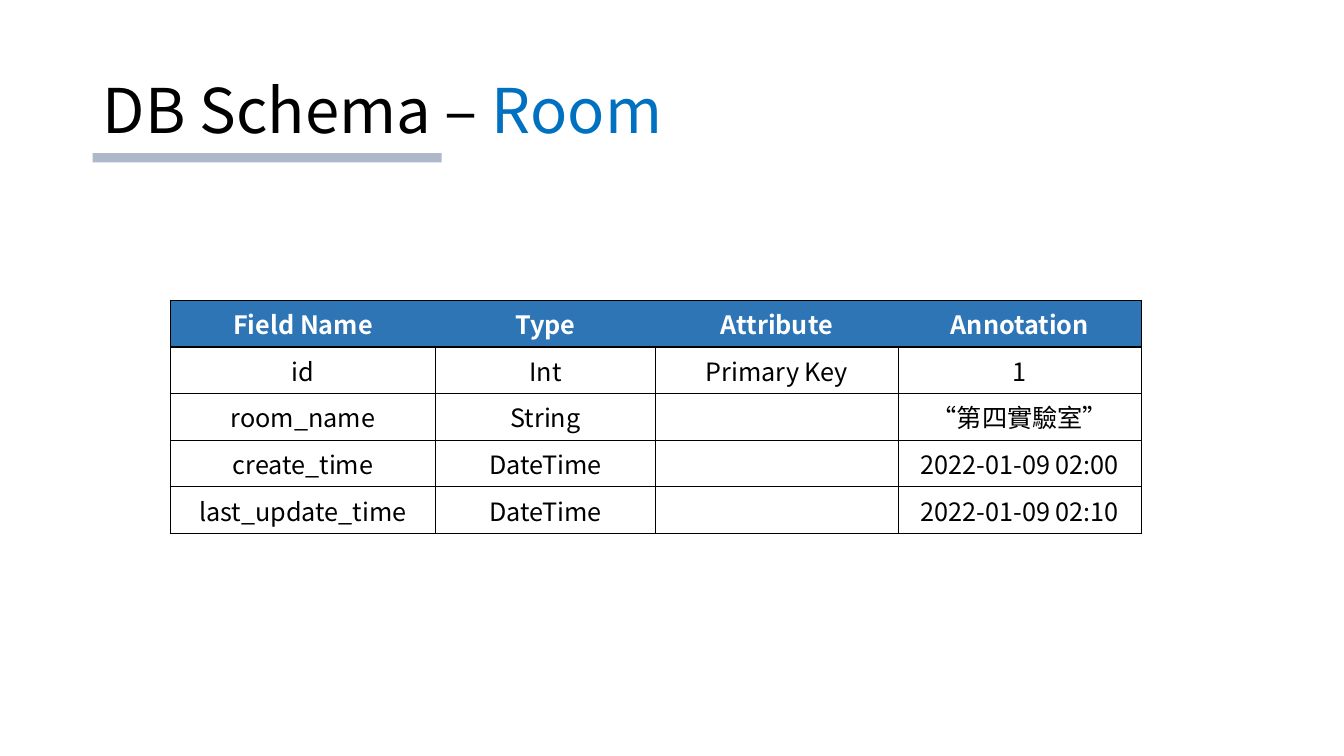
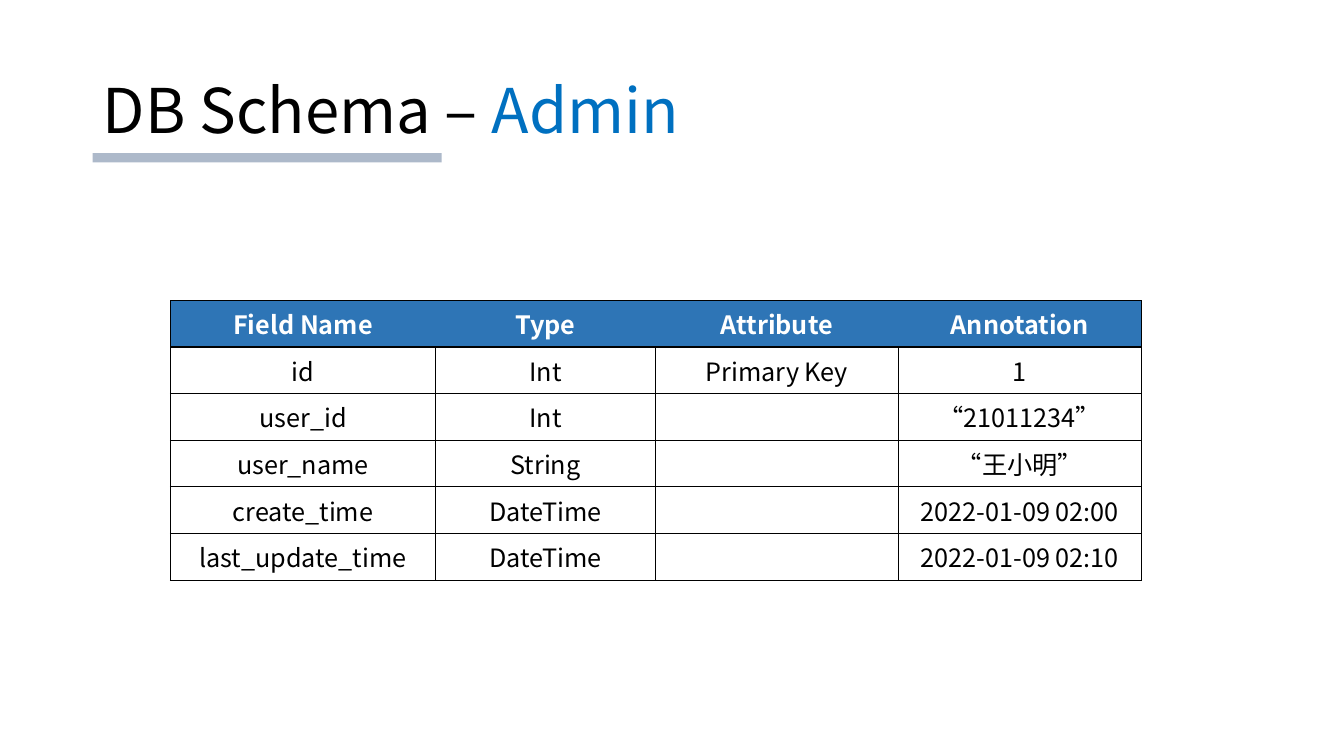
from lxml.etree import SubElement
from pptx import Presentation
from pptx.dml.color import RGBColor
from pptx.enum.shapes import MSO_SHAPE
from pptx.enum.text import MSO_ANCHOR, MSO_AUTO_SIZE, PP_ALIGN
from pptx.oxml.ns import qn
from pptx.util import Inches, Pt

FONT = "Noto Sans CJK SC"
COLORS = {
    "text": "000000",
    "accent": "0070C0",
    "header": "2E75B6",
    "header_text": "FFFFFF",
    "underline": "ADB9CA",
    "border": "000000",
}
HEADERS = ("Field Name", "Type", "Attribute", "Annotation")
COLUMN_WIDTHS = (2.63, 2.18, 2.41, 2.41)
ROW_HEIGHT = 0.41
TYPE_COLUMN = 1
HEAVY_ROWS = 2  # body rows whose type cell has a heavy outline
THIN, HEAVY = 0.5, 1

ID_ROW = ("id", "Int", "Primary Key", "1")
TIME_ROWS = (
    ("create_time", "DateTime", "", "2022-01-09 02:00"),
    ("last_update_time", "DateTime", "", "2022-01-09 02:10"),
)
SCHEMAS = {
    "Room": (ID_ROW, ("room_name", "String", "", "“第四實驗室”"), *TIME_ROWS),
    "Admin": (
        ID_ROW,
        ("user_id", "Int", "", "“21011234”"),
        ("user_name", "String", "", "“王小明”"),
        *TIME_ROWS,
    ),
}


def color(name):
    """Return the named colour."""
    return RGBColor.from_string(COLORS[name])


def add_run(paragraph, text, size, color_name, bold=False):
    """Add one formatted run, with the font set for Latin and Chinese text."""
    run = paragraph.add_run()
    run.text = text
    run.font.name = FONT
    run.font.size = Pt(size)
    run.font.bold = bold
    run.font.color.rgb = color(color_name)
    SubElement(run.font._element, qn("a:ea"), typeface=FONT)


def add_title(slide, name):
    """Format the title placeholder and add the bar under it."""
    title = slide.shapes.title
    title.left, title.top = Inches(0.92), Inches(0.4)
    title.width, title.height = Inches(11.5), Inches(1.45)
    frame = title.text_frame
    frame.word_wrap = True
    frame.auto_size = MSO_AUTO_SIZE.NONE
    frame.vertical_anchor = MSO_ANCHOR.MIDDLE
    paragraph = frame.paragraphs[0]
    paragraph.alignment = PP_ALIGN.LEFT
    paragraph.line_spacing = 0.9
    add_run(paragraph, "DB Schema – ", 44, "text")
    add_run(paragraph, name, 44, "accent")


def add_underline(slide):
    """Add the bar under the title."""
    bar = slide.shapes.add_shape(
        MSO_SHAPE.RECTANGLE, Inches(0.92), Inches(1.52), Inches(3.46), Inches(0.09)
    )
    bar.shadow.inherit = False
    bar.fill.solid()
    bar.fill.fore_color.rgb = color("underline")
    bar.line.fill.background()


def border_widths(row, column):
    """Return the left, right, top and bottom border widths of a cell."""
    if row == 0:
        left = THIN if column == 0 else 0
        right = THIN if column == len(HEADERS) - 1 else 0
        return left, right, THIN, HEAVY
    heavy_type = column == TYPE_COLUMN
    top = HEAVY if row == 1 or heavy_type and row <= HEAVY_ROWS + 1 else THIN
    bottom = HEAVY if heavy_type and row <= HEAVY_ROWS else THIN
    return HEAVY, HEAVY, top, bottom


def set_borders(cell, widths):
    """Draw the four borders of a cell; a width of zero hides one."""
    properties = cell._tc.get_or_add_tcPr()
    for side, width in zip("LRTB", widths):
        line = SubElement(properties, qn(f"a:ln{side}"), w=str(Pt(width)))
        if width:
            fill = SubElement(line, qn("a:solidFill"))
            SubElement(fill, qn("a:srgbClr"), val=COLORS["border"])
        else:
            SubElement(line, qn("a:noFill"))


def format_cell(cell, text, row, column):
    """Set the borders, fill and text of a cell."""
    is_header = row == 0
    set_borders(cell, border_widths(row, column))
    if is_header:
        cell.fill.solid()
        cell.fill.fore_color.rgb = color("header")
    else:
        cell.fill.background()
    paragraph = cell.text_frame.paragraphs[0]
    paragraph.alignment = PP_ALIGN.CENTER
    if text:
        add_run(paragraph, text, 18, "header_text" if is_header else "text", is_header)


def add_schema_table(slide, fields):
    """Add the table of fields under a header row."""
    rows = (HEADERS, *fields)
    table = slide.shapes.add_table(
        len(rows), len(HEADERS), Inches(1.69), Inches(2.98),
        Inches(sum(COLUMN_WIDTHS)), Inches(ROW_HEIGHT * len(rows)),
    ).table
    table.horz_banding = False
    for column, width in zip(table.columns, COLUMN_WIDTHS):
        column.width = Inches(width)
    for row, texts in enumerate(rows):
        table.rows[row].height = Inches(ROW_HEIGHT)
        for column, text in enumerate(texts):
            format_cell(table.cell(row, column), text, row, column)


def main():
    """Build one slide for each schema."""
    presentation = Presentation()
    presentation.slide_width = Inches(13.33)
    presentation.slide_height = Inches(7.5)
    title_only = presentation.slide_layouts[5]
    for name, fields in SCHEMAS.items():
        slide = presentation.slides.add_slide(title_only)
        add_title(slide, name)
        add_schema_table(slide, fields)
        add_underline(slide)
    presentation.save("out.pptx")


main()
